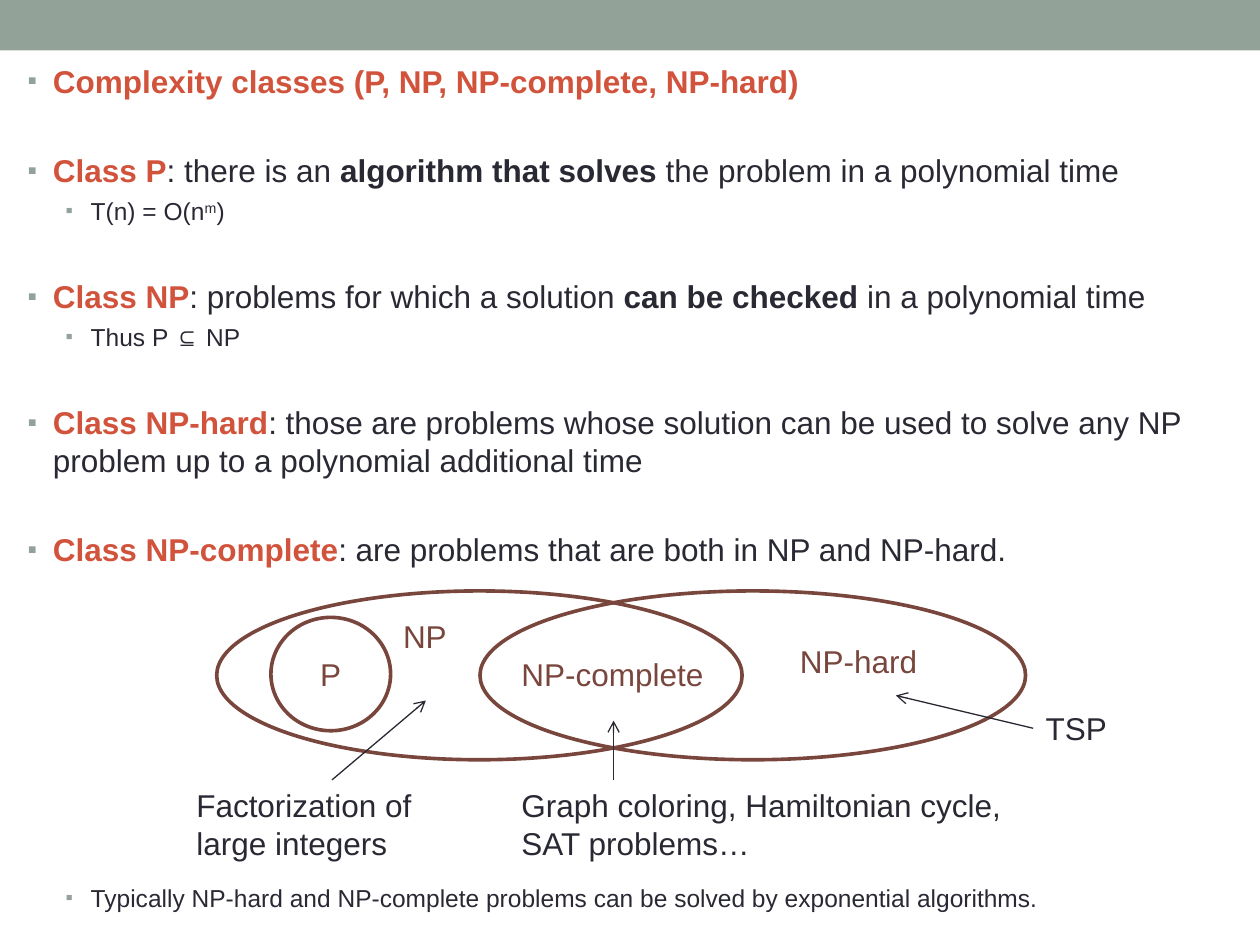
from dataclasses import dataclass
from lxml.etree import SubElement
from pptx import Presentation
from pptx.dml.color import RGBColor as RGB
from pptx.enum.shapes import MSO_CONNECTOR as Link, MSO_SHAPE as Kind
from pptx.enum.text import MSO_ANCHOR as Anchor, MSO_AUTO_SIZE as Fit, PP_ALIGN as Align
from pptx.oxml.ns import qn
from pptx.util import Inches, Pt


@dataclass(frozen=True)
class Theme:
    """Hold the colours, font and type sizes."""
    sage: str = "93A299"
    red: str = "D2533C"
    ink: str = "292934"
    brown: str = "79463D"
    font: str = "Arial"
    big: int = 18
    small: int = 14
    thick: float = 2.08
    thin: float = 0.75


T = Theme()
TERM = dict(color=T.red, bold=True)
PLAIN = dict(color=T.ink, bold=False)
BOLD = dict(color=T.ink, bold=True)
HIGH = dict(PLAIN, raised=True)
NEAR, GAP = 4, 29.5
POINTS = [
    (0, 1.5, [("Complexity classes (P, NP, NP-complete, NP-hard)", TERM)]),
    (0, GAP, [("Class P", TERM), (": there is an ", PLAIN),
              ("algorithm that solves ", BOLD),
              ("the problem in a polynomial time", PLAIN)]),
    (1, NEAR, [("T(n) = O(n", PLAIN), ("m", HIGH), (")", PLAIN)]),
    (0, GAP, [("Class NP", TERM), (": problems for which a solution ", PLAIN),
              ("can be checked ", BOLD), ("in a polynomial time", PLAIN)]),
    (1, NEAR, [("Thus P ⊆ NP", PLAIN)]),
    (0, GAP, [("Class NP-hard", TERM),
              (": those are problems whose solution can be used to solve any NP "
               "problem up to a polynomial additional time", PLAIN)]),
    (0, GAP, [("Class NP-complete", TERM),
              (": are problems that are both in NP and NP-hard.", PLAIN)]),
    (1, 180, [("Typically NP-hard and NP-complete problems can be solved "
               "by exponential algorithms.", PLAIN)]),
]


def assign(item, values):
    """Set each named attribute of an item."""
    for name, value in values.items():
        setattr(item, name, value)


def write(para, text, color, size=T.big, bold=False, raised=False):
    """Add one formatted run to a paragraph."""
    run = para.add_run()
    run.text = text
    assign(run.font, dict(name=T.font, size=Pt(size), bold=bold))
    run.font.color.rgb = RGB.from_string(color)
    if raised:
        run.font._element.set("baseline", "30000")


def bullet(para, level):
    """Give a paragraph its indent and square bullet."""
    props = para._p.get_or_add_pPr()
    props.set("marL", str(Inches((0.2, 0.5)[level])))
    props.set("indent", str(Inches(-0.2)))
    tint = SubElement(props, qn("a:buClr"))
    SubElement(tint, qn("a:srgbClr"), val=T.sage)
    SubElement(props, qn("a:buSzPct"), val="85000")
    SubElement(props, qn("a:buFont"), typeface=T.font)
    SubElement(props, qn("a:buChar"), char="▪")


def place(box, x, y, w, h):
    """Turn an offset and a size within a box into lengths."""
    return [Inches(n) for n in (box[0] + x, box[1] + y, w, h)]


def band(slide, box):
    """Draw the plain bar along the top."""
    bar = slide.shapes.add_shape(Kind.RECTANGLE, *place(box, 0, 0, *box[2:]))
    bar.shadow.inherit = False
    bar.fill.solid()
    bar.fill.fore_color.rgb = RGB.from_string(T.sage)
    bar.line.fill.background()


def body(slide, box):
    """Fill the body placeholder with the bulleted points."""
    holder = slide.placeholders[1]
    names = ("left", "top", "width", "height")
    assign(holder, dict(zip(names, place(box, 0, 0, *box[2:]))))
    frame = holder.text_frame
    assign(frame, dict(word_wrap=True, auto_size=Fit.NONE, vertical_anchor=Anchor.TOP))
    for i, (level, gap, runs) in enumerate(POINTS):
        para = frame.add_paragraph() if i else frame.paragraphs[0]
        assign(para, dict(level=level, space_before=Pt(gap), alignment=Align.LEFT))
        bullet(para, level)
        for text, style in runs:
            write(para, text, size=(T.big, T.small)[level], **style)


def oval(shapes, spot):
    """Draw one outlined set."""
    ring = shapes.add_shape(Kind.OVAL, *spot)
    ring.shadow.inherit = False
    ring.fill.background()
    ring.line.color.rgb = RGB.from_string(T.brown)
    ring.line.width = Pt(T.thick)
    return ring


def label(shapes, spot, lines, color, wrap):
    """Place a text box with one paragraph for each line."""
    note = shapes.add_textbox(*spot)
    frame = note.text_frame
    assign(frame, dict(word_wrap=wrap, auto_size=Fit.SHAPE_TO_FIT_TEXT))
    for i, text in enumerate(lines):
        para = frame.add_paragraph() if i else frame.paragraphs[0]
        write(para, text, color)
    return note


def arrow(shapes, ends, note=None, side=0):
    """Draw an arrow, joined at its start to a note if given."""
    line = shapes.add_connector(Link.STRAIGHT, *ends)
    if note is not None:
        line.begin_connect(note, side)
    line.line.color.rgb = RGB.from_string(T.ink)
    line.line.width = Pt(T.thin)
    SubElement(line.line._get_or_add_ln(), qn("a:tailEnd"), type="arrow")
    SubElement(line._element.spPr, qn("a:effectLst"))


def venn(slide, box):
    """Draw the sets, their names and the example problems."""
    shapes = slide.shapes.add_group_shape().shapes
    for x, w in ((0.26, 4.17), (2.35, 4.33)):
        oval(shapes, place(box, x, 0, w, 1.34))
    core = oval(shapes, place(box, 0.69, 0.21, 0.95, 0.9))
    core.text_frame.vertical_anchor = Anchor.MIDDLE
    para = core.text_frame.paragraphs[0]
    para.alignment = Align.CENTER
    write(para, "P", T.brown)
    for text, x, y, w in (("NP", 1.64, 0.16, 0.55), ("NP-hard", 4.79, 0.36, 1.14),
                          ("NP-complete", 2.58, 0.46, 1.66)):
        label(shapes, place(box, x, y, w, 0.4), [text], T.brown, False)
    notes = (
        (["Factorization of large integers"], (0, 1.5, 2.35, 0.71),
         (1.17, 1.5, 1.92, 0.87), 0),
        (["TSP"], (6.74, 0.89, 1.18, 0.4), (6.74, 1.09, 5.65, 0.83), 1),
        (["Graph coloring, Hamiltonian cycle,", "SAT problems…"],
         (2.58, 1.5, 4.58, 0.71), (3.41, 1.5, 3.41, 1.03), None),
    )
    for lines, spot, (x, y, tx, ty), side in notes:
        note = label(shapes, place(box, *spot), lines, T.ink, True)
        ends = place(box, x, y, box[0] + tx, box[1] + ty)
        arrow(shapes, ends, None if side is None else note, side)


def main():
    """Build the slide and save it."""
    deck = Presentation()
    assign(deck, dict(slide_width=Inches(10), slide_height=Inches(7.5)))
    slide = deck.slides.add_slide(deck.slide_layouts[1])
    title = slide.shapes.title._element
    title.getparent().remove(title)
    band(slide, (0, 0, 10, 0.4))
    body(slide, (0.12, 0.44, 9.76, 7.06))
    venn(slide, (1.46, 4.69, 7.92, 2.21))
    deck.save("out.pptx")


if __name__ == "__main__":
    main()
